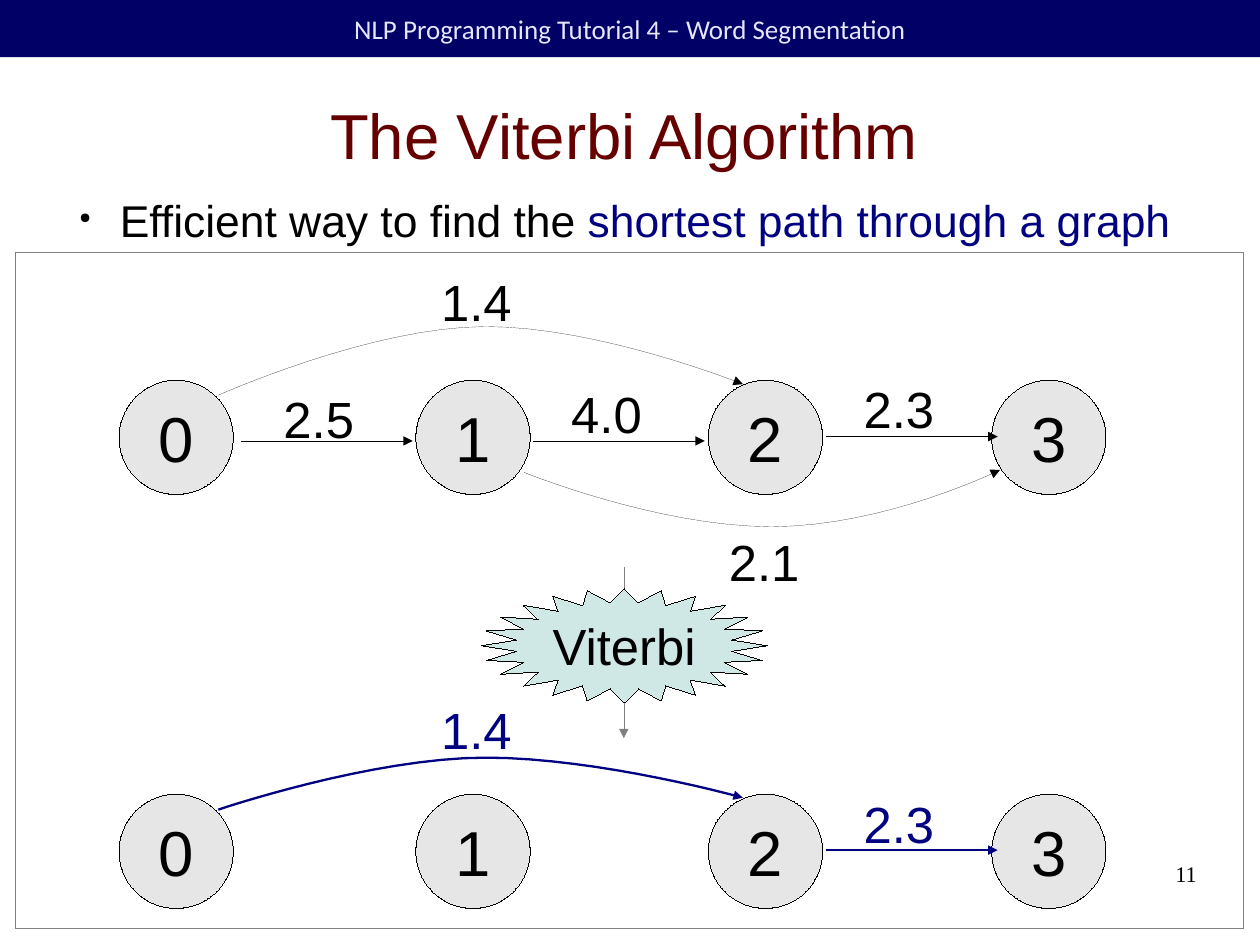
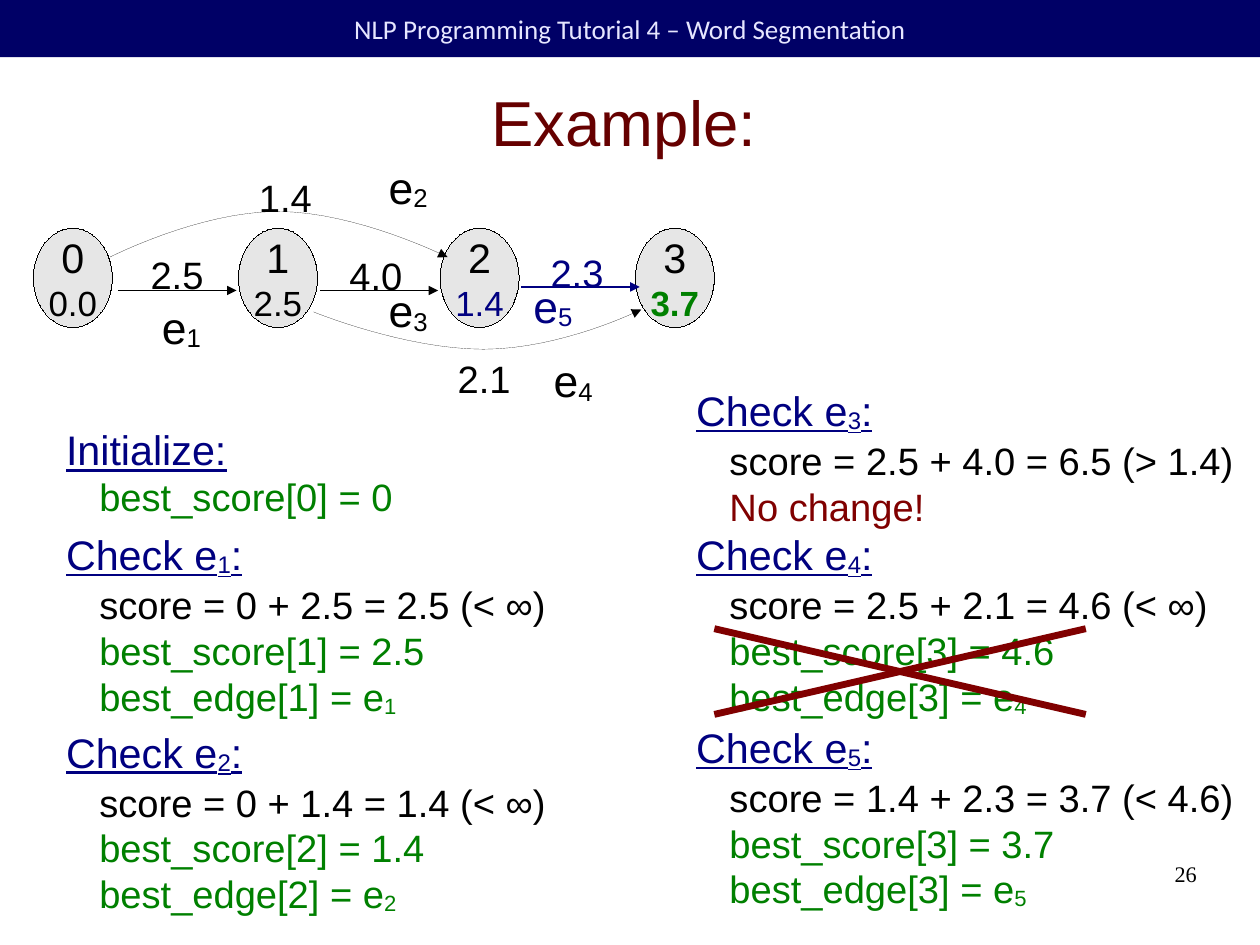
from dataclasses import dataclass
from typing import NamedTuple

from lxml import etree
from pptx import Presentation
from pptx import util as u
from pptx.dml.color import RGBColor
from pptx.enum import shapes, text
from pptx.oxml.ns import qn

# Shared look
SLIDE_WIDTH, SLIDE_HEIGHT = 793.75, 595.25
BLACK = RGBColor(0x00, 0x00, 0x00)
NAVY = RGBColor(0x00, 0x00, 0x80)
GREEN = RGBColor(0x00, 0x80, 0x00)
RED = RGBColor(0x80, 0x00, 0x00)
GRAY = RGBColor(0x80, 0x80, 0x80)
MAROON = RGBColor(0x66, 0x00, 0x00)
BAND_BLUE = RGBColor(0x00, 0x00, 0x66)
BAND_TEXT = RGBColor(0xE6, 0xE6, 0xFF)
NODE_FILL = RGBColor(0xE6, 0xE6, 0xE6)
BURST_FILL = RGBColor(0xCF, 0xE7, 0xE5)
HAIRLINE, BOLD_LINE, CROSS_LINE = 0, 1.45, 4.31
INSETS, NO_INSETS = (7.2, 3.6), (0, 0)
CURVE_STEPS = 16
LEFT, CENTER, RIGHT = text.PP_ALIGN.LEFT, text.PP_ALIGN.CENTER, text.PP_ALIGN.RIGHT


class Point(NamedTuple):
    x: float
    y: float


class Box(NamedTuple):
    x: float
    y: float
    width: float
    height: float


@dataclass
class Run:
    text: str
    size: float
    color: RGBColor = BLACK
    bold: bool = False
    underline: bool = False
    subscript: bool = False
    font: str = "Arial"


Paragraph = list[Run]


@dataclass
class Node:
    x: float
    paragraphs: list[Paragraph]


@dataclass
class Label:
    x: float
    y: float
    paragraph: Paragraph


@dataclass
class Edge:
    start: Point
    end: Point
    color: RGBColor = BLACK
    width: float = HAIRLINE
    arrow: bool = True


@dataclass
class Arc:
    start: Point
    crest: Point
    end: Point
    reach: float
    color: RGBColor = BLACK
    width: float = HAIRLINE


@dataclass
class Step:
    x: float
    y: float
    heading: Paragraph
    heading_width: float
    width: float
    body: list[Paragraph]
    gap: float = 33


# Text
def indexed(stem: str, index: int, size: float, color: RGBColor = BLACK,
            tail: str = "", underline: bool = False) -> Paragraph:
    runs = [Run(stem, size, color, underline=underline),
            Run(str(index), size, color, underline=underline, subscript=True)]
    return runs + ([Run(tail, size, color, underline=underline)] if tail else [])


def write(frame, paragraphs: list[Paragraph], align=LEFT, anchor=text.MSO_ANCHOR.TOP,
          insets=INSETS, wrap: bool = False) -> None:
    side, edge = (u.Pt(inset) for inset in insets)
    settings = dict(margin_left=side, margin_right=side, margin_top=edge, margin_bottom=edge,
                    word_wrap=wrap, vertical_anchor=anchor, auto_size=text.MSO_AUTO_SIZE.NONE)
    for name, value in settings.items():
        setattr(frame, name, value)
    for position, runs in enumerate(paragraphs):
        paragraph = frame.add_paragraph() if position else frame.paragraphs[0]
        paragraph.alignment = align
        for run in runs:
            piece = paragraph.add_run()
            piece.text = run.text
            styles = dict(name=run.font, size=u.Pt(run.size), bold=run.bold,
                          underline=run.underline)
            for name, value in styles.items():
                setattr(piece.font, name, value)
            piece.font.color.rgb = run.color
            if run.subscript:
                piece._r.get_or_add_rPr().set("baseline", "-8000")


def add_text(slide, box: Box, paragraphs: list[Paragraph], **layout):
    frame = slide.shapes.add_textbox(*map(u.Pt, box)).text_frame
    write(frame, paragraphs, **layout)
    return frame


# Shapes and lines
def style_line(line, color: RGBColor, width: float, arrow: bool = False) -> None:
    line.color.rgb = color
    outline = line._get_or_add_ln()
    outline.set("w", str(u.Pt(width)))  # a zero width must be written out
    if arrow:
        etree.SubElement(outline, qn("a:tailEnd"), type="triangle")


def add_figure(slide, preset, box: Box, fill: RGBColor | None, outline: RGBColor | None):
    figure = slide.shapes.add_shape(preset, *map(u.Pt, box))
    figure.shadow.inherit = False
    if fill is None:
        figure.fill.background()
    else:
        figure.fill.solid()
        figure.fill.fore_color.rgb = fill
    if outline is None:
        figure.line.fill.background()
    else:
        style_line(figure.line, outline, HAIRLINE)
    return figure


def add_edge(slide, edge: Edge) -> None:
    connector = slide.shapes.add_connector(
        shapes.MSO_CONNECTOR.STRAIGHT, *map(u.Pt, (*edge.start, *edge.end)))
    style_line(connector.line, edge.color, edge.width, edge.arrow)
    etree.SubElement(connector._element.spPr, qn("a:effectLst"))


def bezier(a: Point, b: Point, c: Point, d: Point) -> list[tuple[int, int]]:
    points = []
    for step in range(1, CURVE_STEPS + 1):
        t = step / CURVE_STEPS
        weights = ((1 - t) ** 3, 3 * t * (1 - t) ** 2, 3 * t * t * (1 - t), t ** 3)
        points.append(tuple(u.Pt(sum(w * p[axis] for w, p in zip(weights, (a, b, c, d))))
                            for axis in (0, 1)))
    return points


def add_arc(slide, arc: Arc) -> None:
    before = Point(arc.crest.x - arc.reach, arc.crest.y)
    after = Point(arc.crest.x + arc.reach, arc.crest.y)
    builder = slide.shapes.build_freeform(*map(u.Pt, arc.start))
    builder.add_line_segments(bezier(arc.start, arc.start, before, arc.crest)
                              + bezier(arc.crest, after, arc.end, arc.end), close=False)
    curve = builder.convert_to_shape()
    curve.shadow.inherit = False
    curve.fill.background()
    style_line(curve.line, arc.color, arc.width, arrow=True)


def add_graph(slide, nodes: list[Node], node_box: Box, edges: list[Edge], arcs: list[Arc],
              labels: list[Label], label_size: tuple[float, float]) -> None:
    for node in nodes:
        circle = add_figure(slide, shapes.MSO_SHAPE.OVAL, node_box._replace(x=node.x),
                            NODE_FILL, BLACK)
        write(circle.text_frame, node.paragraphs, CENTER, text.MSO_ANCHOR.MIDDLE)
    for label in labels:
        add_text(slide, Box(label.x, label.y, *label_size), [label.paragraph])
    for arc in arcs:
        add_arc(slide, arc)
    for edge in edges:
        add_edge(slide, edge)


# Frame of every slide
def move_band_to_layout(slide, layout) -> None:
    for placeholder in list(layout.placeholders):
        if placeholder.placeholder_format.type != shapes.PP_PLACEHOLDER.TITLE:
            placeholder.element.getparent().remove(placeholder.element)
    band = add_figure(slide, shapes.MSO_SHAPE.RECTANGLE, Box(0, 0, SLIDE_WIDTH, 36),
                      BAND_BLUE, None)
    course = Run("NLP Programming Tutorial 4 – Word Segmentation", 17, BAND_TEXT, font="Calibri")
    write(band.text_frame, [[course]], CENTER, text.MSO_ANCHOR.MIDDLE, wrap=True)
    layout.shapes.element.append(band.element)


def set_title(slide, words: str, top: float) -> None:
    title = slide.shapes.title
    place = dict(left=36, top=top, width=714, height=91.5)
    for name, value in place.items():
        setattr(title, name, u.Pt(value))
    write(title.text_frame, [[Run(words, 40, MAROON)]], CENTER, text.MSO_ANCHOR.MIDDLE,
          NO_INSETS, wrap=True)


def add_page_number(slide, number: str) -> None:
    add_text(slide, Box(569, 542, 185, 41), [[Run(number, 14, font="Times New Roman")]],
             align=RIGHT, insets=NO_INSETS, wrap=True)


# Slide: the algorithm
def build_algorithm(slide) -> None:
    set_title(slide, "The Viterbi Algorithm", 39)
    add_edge(slide, Edge(Point(393, 357), Point(393, 465), GRAY))
    summary = add_text(slide, Box(41.75, 121.5, 714, 31),
                       [[Run("Efficient way to find the ", 28),
                         Run("shortest path through a graph", 28, NAVY)]],
                       insets=NO_INSETS, wrap=True)
    properties = summary.paragraphs[0]._p.get_or_add_pPr()
    properties.set("marL", str(u.Pt(33.75)))
    properties.set("indent", str(u.Pt(-25.5)))
    bullet_color = etree.SubElement(properties, qn("a:buClr"))
    etree.SubElement(bullet_color, qn("a:srgbClr"), val=str(BLACK))
    etree.SubElement(properties, qn("a:buSzPct"), val="33000")
    etree.SubElement(properties, qn("a:buChar"), char="●")
    summary.paragraphs[0].space_after = u.Pt(14.2)

    nodes = [Node(x, [[Run(str(index), 40)]])
             for index, x in enumerate((75, 262, 446.25, 624.75))]
    weights = [("2.5", 171.5, 240.5), ("4.0", 352.75, 237.5), ("2.3", 537, 234.5),
               ("2.1", 452, 331), ("1.4", 270.75, 167)]
    add_graph(
        slide, nodes, Box(0, 239.5, 72, 72),
        [Edge(Point(x, y), Point(x + 108, y))
         for x, y in ((152, 277.75), (336, 277.75), (520.5, 275))],
        [Arc(Point(330, 297.5), Point(486, 331.75), Point(630, 296), 72),
         Arc(Point(137.5, 249), Point(306, 205.75), Point(468, 242), 72)],
        [Label(x, y, [Run(weight, 32)]) for weight, x, y in weights], (59, 43))

    burst = add_figure(slide, shapes.MSO_SHAPE.STAR_24_POINT, Box(303.25, 370.75, 180, 72),
                       BURST_FILL, BLACK)
    burst.adjustments[0] = 0.38
    write(burst.text_frame, [[Run("Viterbi", 32)]], CENTER, text.MSO_ANCHOR.MIDDLE)

    add_graph(
        slide, nodes, Box(0, 500.25, 72, 72),
        [Edge(Point(520.5, 535.5), Point(628.5, 535.5), NAVY, BOLD_LINE)],
        [Arc(Point(137.5, 510), Point(306, 477.25), Point(468, 502.5), 72, NAVY, BOLD_LINE)],
        [Label(537, 496, [Run("2.3", 32, NAVY)]), Label(270.75, 436.5, [Run("1.4", 32, NAVY)])],
        (59, 43))
    add_figure(slide, shapes.MSO_SHAPE.RECTANGLE, Box(9.5, 159, 774, 426), None, GRAY)
    add_page_number(slide, "11")


# Slide: the worked example
def check(x: float, y: float, edge: int, width: float, score: str,
          node: int = 0, best: str = "") -> Step:
    body = [[Run(score, 24)]]
    if best:
        body += [[Run(f"best_score[{node}] = {best}", 24, GREEN)],
                 indexed(f"best_edge[{node}] = e", edge, 24, GREEN)]
    else:
        body.append([Run("No change!", 24, RED)])
    return Step(x, y, indexed("Check e", edge, 26, NAVY, ":", True), 125.5, width, body)


def build_example(slide) -> None:
    set_title(slide, "Example:", 30.5)
    scores = [(21, Run("0.0", 22)), (150.25, Run("2.5", 22)), (277.25, Run("1.4", 22, NAVY)),
              (400.25, Run("3.7", 22, GREEN, bold=True))]
    weights = [("2.5", 87.75, 155, BLACK), ("4.0", 213, 155.5, BLACK),
               ("2.3", 339.75, 153.5, NAVY), ("2.1", 281.25, 220, BLACK),
               ("1.4", 156, 106.5, BLACK)]
    add_graph(
        slide,
        [Node(x, [[Run(str(index), 26)], [score]]) for index, (x, score) in enumerate(scores)],
        Box(0, 143.75, 49.75, 62.5),
        [Edge(Point(74.25, 183), Point(149, 183)), Edge(Point(201.5, 183), Point(276, 183)),
         Edge(Point(328.5, 180.75), Point(403, 180.75), NAVY, BOLD_LINE)],
        [Arc(Point(197.5, 196.5), Point(304.5, 220), Point(404, 195), 49.5),
         Arc(Point(69.25, 162), Point(175, 133.25), Point(282, 162), 49.5)],
        [Label(x, y, [Run(weight, 24, color)]) for weight, x, y, color in weights], (48, 34.5))

    edge_names = [(1, 95, 185.25, BLACK), (3, 237.75, 174.75, BLACK), (2, 237.75, 97, BLACK),
                  (4, 341.75, 219, BLACK), (5, 329, 172, NAVY)]
    for index, x, y, color in edge_names:
        add_text(slide, Box(x, y, 39, 47.5), [indexed("e", index, 28, color)])

    left, right = 34.5, 431.5
    steps = [
        Step(left, 264, [Run("Initialize:", 26, NAVY, underline=True)], 115, 199.5,
             [[Run("best_score[0] = 0", 24, GREEN)]], gap=30.5),
        check(left, 329.75, 1, 296, "score = 0 + 2.5 = 2.5 (< ∞)", 1, "2.5"),
        check(left, 454.25, 2, 296, "score = 0 + 1.4 = 1.4 (< ∞)", 2, "1.4"),
        check(right, 239, 3, 332.5, "score = 2.5 + 4.0 = 6.5 (> 1.4)"),
        check(right, 329.75, 4, 316, "score = 2.5 + 2.1 = 4.6 (< ∞)", 3, "4.6"),
        check(right, 451.25, 5, 332.5, "score = 1.4 + 2.3 = 3.7 (< 4.6)", 3, "3.7"),
    ]
    for step in steps:
        add_text(slide, Box(step.x, step.y, step.heading_width, 44), [step.heading])
        add_text(slide, Box(step.x + 21, step.y + step.gap, step.width, 30 * len(step.body) + 4),
                 step.body)
    for start_y, end_y in ((450, 396), (396, 450)):
        add_edge(slide, Edge(Point(450, start_y), Point(684, end_y), RED, CROSS_LINE, arrow=False))
    add_page_number(slide, "26")


def main() -> None:
    deck = Presentation()
    deck.slide_width, deck.slide_height = u.Pt(SLIDE_WIDTH), u.Pt(SLIDE_HEIGHT)
    title_only = deck.slide_layouts[5]
    algorithm, example = (deck.slides.add_slide(title_only) for _ in range(2))
    move_band_to_layout(algorithm, title_only)
    build_algorithm(algorithm)
    build_example(example)
    deck.save("out.pptx")


if __name__ == "__main__":
    main()
